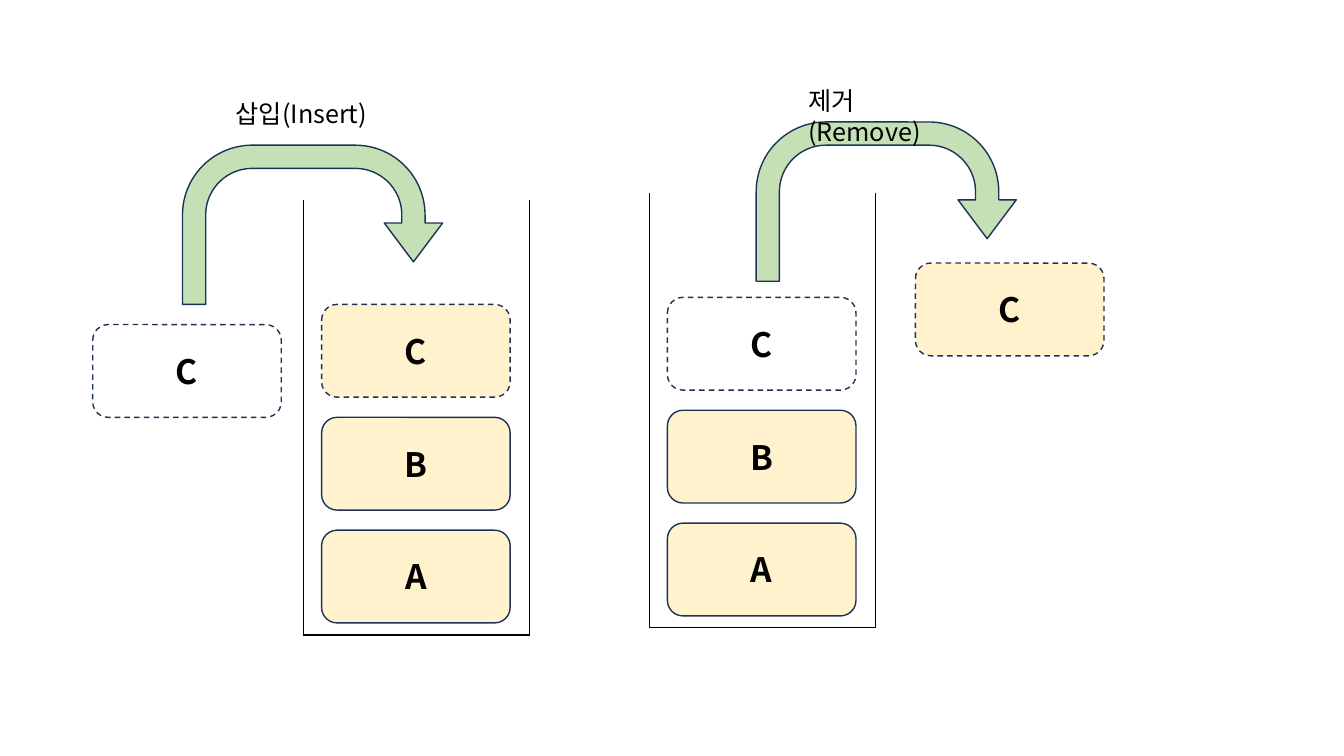
import dataclasses

import pptx
import pptx.dml.color
import pptx.enum.dml
import pptx.enum.shapes
import pptx.enum.text
import pptx.oxml
import pptx.oxml.ns
import pptx.util

Inches = pptx.util.Inches
SHAPE = pptx.enum.shapes.MSO_SHAPE


@dataclasses.dataclass(frozen=True)
class Theme:
    """Colours, font and sizes of the slide."""
    font: str = "Noto Sans CJK KR"
    text: str = "000000"
    outline: str = "1E3256"
    block: str = "FFF2CC"
    arrow: str = "C5E0B4"
    block_size: int = 24
    label_size: int = 18
    line_width: int = 1


THEME = Theme()
BLOCK_W, BLOCK_H = 1.87, 0.92
STACK_W, STACK_H, STACK_ROWS = 2.24, 4.32, 5
BLOCK_INSET, BOTTOM_BLOCK_TOP, BLOCK_STEP = 0.18, 3.28, 1.12
ARROW_W, ARROW_H = 2.58, 1.58
ARROW_ADJUSTMENTS = (0.146, 0.183, 0.244, 0.438, 0.733)


def rgb(value):
    """Return a colour from its hex value."""
    return pptx.dml.color.RGBColor.from_string(value)


def format_text(p, size, bold=False):
    """Format every run of a paragraph."""
    for r in p.runs:
        r.font.name = THEME.font
        r.font.size = pptx.util.Pt(size)
        r.font.bold = bold
        r.font.color.rgb = rgb(THEME.text)
        ea = r.font._element.makeelement(pptx.oxml.ns.qn("a:ea"), {"typeface": THEME.font})
        r.font._element.find(pptx.oxml.ns.qn("a:latin")).addnext(ea)


def add_outlined(s, kind, x, y, w, h, fill):
    """Add a preset shape with the common outline and an optional fill."""
    sp = s.shapes.add_shape(kind, Inches(x), Inches(y), Inches(w), Inches(h))
    sp.shadow.inherit = False
    if fill:
        sp.fill.solid()
        sp.fill.fore_color.rgb = rgb(fill)
    else:
        sp.fill.background()
    sp.line.color.rgb = rgb(THEME.outline)
    sp.line.width = pptx.util.Pt(THEME.line_width)
    return sp


def add_block(s, x, y, name, filled=True, dashed=False):
    """Add one lettered block."""
    fill = THEME.block if filled else None
    sp = add_outlined(s, SHAPE.ROUNDED_RECTANGLE, x, y, BLOCK_W, BLOCK_H, fill)
    if dashed:
        sp.line.dash_style = pptx.enum.dml.MSO_LINE.DASH
    tf = sp.text_frame
    tf.text = name
    tf.vertical_anchor = pptx.enum.text.MSO_ANCHOR.MIDDLE
    p = tf.paragraphs[0]
    p.alignment = pptx.enum.text.PP_ALIGN.CENTER
    format_text(p, THEME.block_size, bold=True)


def set_borders(cell, sides):
    """Draw the named sides of a cell and hide the others."""
    properties = cell._tc.get_or_add_tcPr()
    for side in "LRTB":
        paint = (f'<a:solidFill><a:srgbClr val="{THEME.text}"/></a:solidFill>'
                 if side in sides else "<a:noFill/>")
        properties.append(pptx.oxml.parse_xml(
            f'<a:ln{side} {pptx.oxml.ns.nsdecls("a")} '
            f'w="{pptx.util.Pt(THEME.line_width)}">{paint}</a:ln{side}>'))
    cell.fill.background()


def add_container(s, x, y):
    """Add the open-topped container as a one-column table."""
    table = s.shapes.add_table(STACK_ROWS, 1, Inches(x), Inches(y),
                               Inches(STACK_W), Inches(STACK_H)).table
    table.first_row = False
    table.horz_banding = False
    for row in range(STACK_ROWS):
        set_borders(table.cell(row, 0), "LRB" if row == STACK_ROWS - 1 else "LR")


def add_stack(s, x, y, top_filled):
    """Add a container holding blocks A to C, with C dashed."""
    add_container(s, x, y)
    for i, name in enumerate("ABC"):
        is_top = name == "C"
        add_block(s, x + BLOCK_INSET, y + BOTTOM_BLOCK_TOP - i * BLOCK_STEP, name,
                  filled=top_filled or not is_top, dashed=is_top)


def add_arrow(s, x, y):
    """Add the curved arrow that shows the move."""
    sp = add_outlined(s, SHAPE.U_TURN_ARROW, x, y, ARROW_W, ARROW_H, THEME.arrow)
    for i, value in enumerate(ARROW_ADJUSTMENTS):
        sp.adjustments[i] = value


def add_label(s, x, y, w, text):
    """Add the name of an operation."""
    sp = s.shapes.add_textbox(Inches(x), Inches(y), Inches(w), Inches(0.4))
    tf = sp.text_frame
    tf.word_wrap = True
    tf.auto_size = pptx.enum.text.MSO_AUTO_SIZE.SHAPE_TO_FIT_TEXT
    tf.text = text
    format_text(tf.paragraphs[0], THEME.label_size)


def add_insert(s, x, y):
    """Show block C entering the stack whose corner is given."""
    add_stack(s, x, y, top_filled=True)
    add_arrow(s, x - 1.2, y - 0.54)
    add_block(s, x - 2.09, y + 1.24, "C", filled=False, dashed=True)
    add_label(s, x - 0.77, y - 1.05, 1.52, "삽입(Insert)")


def add_remove(s, x, y):
    """Show block C leaving the stack whose corner is given."""
    add_stack(s, x, y, top_filled=False)
    add_arrow(s, x + 1.06, y - 0.7)
    add_block(s, x + 2.64, y + 0.7, "C", dashed=True)
    add_label(s, x + 1.48, y - 1.11, 1.74, "제거(Remove)")


def main():
    """Build and save the slide."""
    prs = pptx.Presentation()
    prs.slide_width, prs.slide_height = Inches(13.33), Inches(7.5)
    s = prs.slides.add_slide(prs.slide_layouts[6])
    add_insert(s, 3.01, 1.98)
    add_remove(s, 6.44, 1.91)
    prs.save("out.pptx")


if __name__ == "__main__":
    main()
